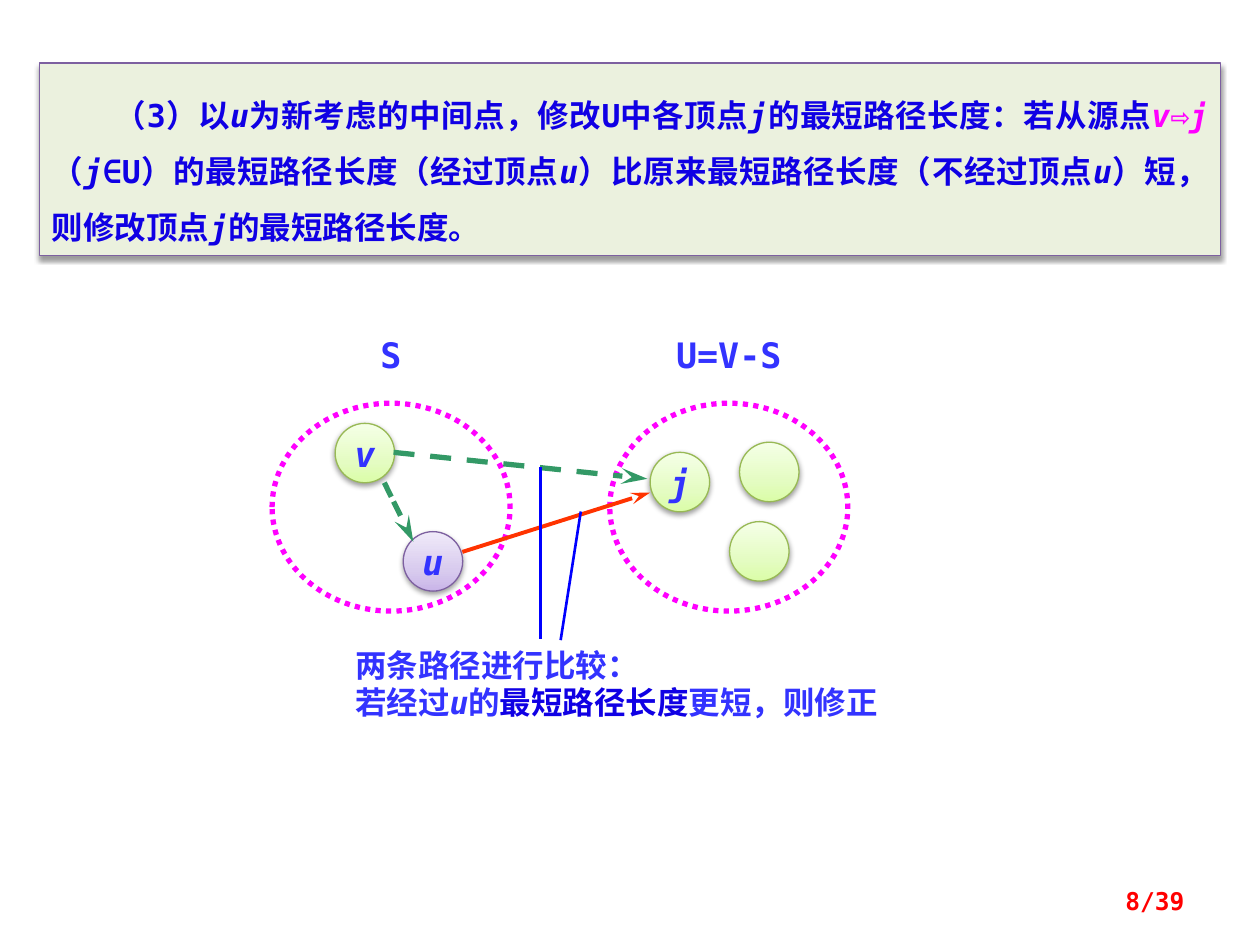
from dataclasses import dataclass

import pptx
import pptx.dml.color
import pptx.enum.dml
import pptx.enum.shapes
import pptx.enum.text
import pptx.oxml
import pptx.oxml.ns
import pptx.util

Pt = pptx.util.Pt
ALIGN = pptx.enum.text.PP_ALIGN
ANCHOR = pptx.enum.text.MSO_ANCHOR
SHAPE = pptx.enum.shapes.MSO_SHAPE
DASH = pptx.enum.dml.MSO_LINE

FONT = "DejaVu Sans Mono"
NODE_SIZE = 34
COLORS = {
    "text": "1000E4", "label": "3333FF", "magenta": "FF00FF", "box": "EBF1DE",
    "purple": "7D60A0", "green": "98B955", "path": "339966", "new": "FF3300",
    "pointer": "0000FF", "page": "FF0000", "black": "000000",
}
GRADIENTS = {
    "green": ((0, "DAFDA7"), (35, "E4FCC2"), (100, "F5FFE7")),
    "purple": ((0, "C9B5E8"), (35, "D8CBEE"), (100, "F0EAF9")),
}


@dataclass
class Node:
    x: float
    y: float
    name: str = ""
    color: str = "green"


@dataclass
class VertexSet:
    x: float
    name: str


@dataclass
class Line:
    x1: float
    y1: float
    x2: float
    y2: float
    color: str
    width: float
    dash: object = None
    arrow: bool = False


NODES = [
    Node(191.5, 241.9, "v"),
    Node(230.4, 303.8, "u", "purple"),
    Node(416.9, 298.1),
    Node(371.5, 258.5, "j"),
    Node(422.6, 252.7),
]
SETS = [VertexSet(155.5, "S"), VertexSet(348.5, "U=V-S")]
LINES = [
    Line(264.2, 315.4, 371.5, 281.5, "new", 2.25, arrow=True),
    Line(224.9, 258.5, 370, 273.6, "path", 3, DASH.DASH, True),
    Line(219.6, 275.8, 236.2, 309.6, "path", 3, DASH.SQUARE_DOT, True),
    Line(308.9, 267, 308.9, 365.4, "pointer", 1.5),
    Line(331.9, 292.3, 320.4, 365.8, "pointer", 1.5),
]


def rgb(name: str):
    return pptx.dml.color.RGBColor.from_string(COLORS[name])


def xml(tag: str, inner: str = "", attrs: str = ""):
    return pptx.oxml.parse_xml(
        f'<a:{tag} {pptx.oxml.ns.nsdecls("a")} {attrs}>{inner}</a:{tag}>')


def add_text(p, text: str, size=18, color="label", bold=True, italic=False):
    # Asterisks toggle italics.
    for i, part in enumerate(text.split("*")):
        if not part:
            continue
        r = p.add_run()
        r.text = part
        f = r.font
        f.name, f.size, f.bold = FONT, Pt(size), bold
        f.italic = italic != (i % 2 == 1)
        f.color.rgb = rgb(color)


def set_frame(tf, margins=(0, 0), wrap=True, anchor=ANCHOR.TOP, align=ALIGN.LEFT):
    tf.margin_left = tf.margin_right = Pt(margins[0])
    tf.margin_top = tf.margin_bottom = Pt(margins[1])
    tf.word_wrap, tf.vertical_anchor = wrap, anchor
    p = tf.paragraphs[0]
    p.alignment = align
    return p


def add_box(s, x: float, y: float, w: float, h: float, **frame):
    sp = s.shapes.add_textbox(Pt(x), Pt(y), Pt(w), Pt(h))
    return sp.text_frame, set_frame(sp.text_frame, **frame)


def add_shape(s, kind, x: float, y: float, w: float, h: float, line: str, width: float):
    sp = s.shapes.add_shape(kind, Pt(x), Pt(y), Pt(w), Pt(h))
    sp.shadow.inherit = False
    sp.fill.background()
    sp.line.color.rgb = rgb(line)
    sp.line.width = Pt(width)
    return sp


def add_shadow(sp):
    color = f'<a:srgbClr val="{COLORS["black"]}"><a:alpha val="38000"/></a:srgbClr>'
    sp.shadow._element.find(pptx.oxml.ns.qn("a:effectLst")).append(xml(
        "outerShdw", color,
        f'blurRad="{Pt(3.15)}" dist="{Pt(1.57)}" dir="5400000" rotWithShape="0"'))


def add_node(s, node: Node):
    sp = add_shape(s, SHAPE.OVAL, node.x, node.y, NODE_SIZE, NODE_SIZE, node.color, 0.75)
    add_shadow(sp)
    stops = "".join(f'<a:gs pos="{pos * 1000}"><a:srgbClr val="{c}"/></a:gs>'
                    for pos, c in GRADIENTS[node.color])
    sppr = sp._element.spPr
    old = sppr.find(pptx.oxml.ns.qn("a:noFill"))
    sppr.replace(old, xml("gradFill", f'<a:gsLst>{stops}</a:gsLst>'
                          '<a:lin ang="16200000" scaled="1"/>', 'rotWithShape="1"'))
    if node.name:
        p = set_frame(sp.text_frame, (7.2, 3.6), False, ANCHOR.MIDDLE, ALIGN.CENTER)
        add_text(p, node.name, size=20, italic=True)


def add_set(s, group: VertexSet):
    w = 136
    sp = add_shape(s, SHAPE.OVAL, group.x, 230.4, w, 118.8, "magenta", 3)
    sp.line.dash_style = DASH.ROUND_DOT
    _, p = add_box(s, group.x + w / 2 - 40, 190.8, 80, 24.5, align=ALIGN.CENTER)
    add_text(p, group.name, size=20)


def add_line(s, line: Line):
    c = s.shapes.add_connector(pptx.enum.shapes.MSO_CONNECTOR.STRAIGHT,
                               Pt(line.x1), Pt(line.y1), Pt(line.x2), Pt(line.y2))
    c.line.color.rgb = rgb(line.color)
    c.line.width = Pt(line.width)
    if line.dash:
        c.line.dash_style = line.dash
    if line.arrow:
        c.line._get_or_add_ln().append(xml("tailEnd", attrs='type="stealth" w="med" len="lg"'))
    c._element.spPr.append(xml("effectLst"))


def add_statement(s):
    sp = add_shape(s, SHAPE.RECTANGLE, 22.5, 36, 675, 110.2, "purple", 0.75)
    sp.fill.solid()
    sp.fill.fore_color.rgb = rgb("box")
    add_shadow(sp)
    p = set_frame(sp.text_frame, (7.2, 8.64), align=ALIGN.JUSTIFY)
    p.line_spacing = Pt(32)
    p._p.get_or_add_pPr().set("indent", str(Pt(36)))
    add_text(p, "（3）以*u*为新考虑的中间点，修改U中各顶点*j*的最短路径长度：若从源点", color="text")
    add_text(p, "*v*⇨*j*", color="magenta")
    add_text(p, "（*j*∈U）的最短路径长度（经过顶点*u*）比原来最短路径长度"
                "（不经过顶点*u*）短，则修改顶点*j*的最短路径长度。", color="text")


def add_comparison(s):
    tf, p = add_box(s, 195.8, 371.5, 361.4, 49, margins=(7.2, 3.6))
    p.line_spacing = 0.7
    add_text(p, "两条路径进行比较：")
    p = tf.add_paragraph()
    p.line_spacing, p.space_before = 0.7, Pt(6)
    add_text(p, "若经过*u*的")
    add_text(p, "最短路径长度", color="text")
    add_text(p, "更短，则修正")


def main():
    prs = pptx.Presentation()
    prs.slide_width, prs.slide_height = Pt(720), Pt(540)
    s = prs.slides.add_slide(prs.slide_layouts[6])
    add_statement(s)
    for group in SETS:
        add_set(s, group)
    for node in NODES:
        add_node(s, node)
    for line in LINES:
        add_line(s, line)
    add_comparison(s)
    _, p = add_box(s, 516, 500.5, 168, 28.8, margins=(7.2, 3.6),
                   anchor=ANCHOR.MIDDLE, align=ALIGN.RIGHT)
    add_text(p, "8/39", size=14, color="page")
    prs.save("out.pptx")


if __name__ == "__main__":
    main()
